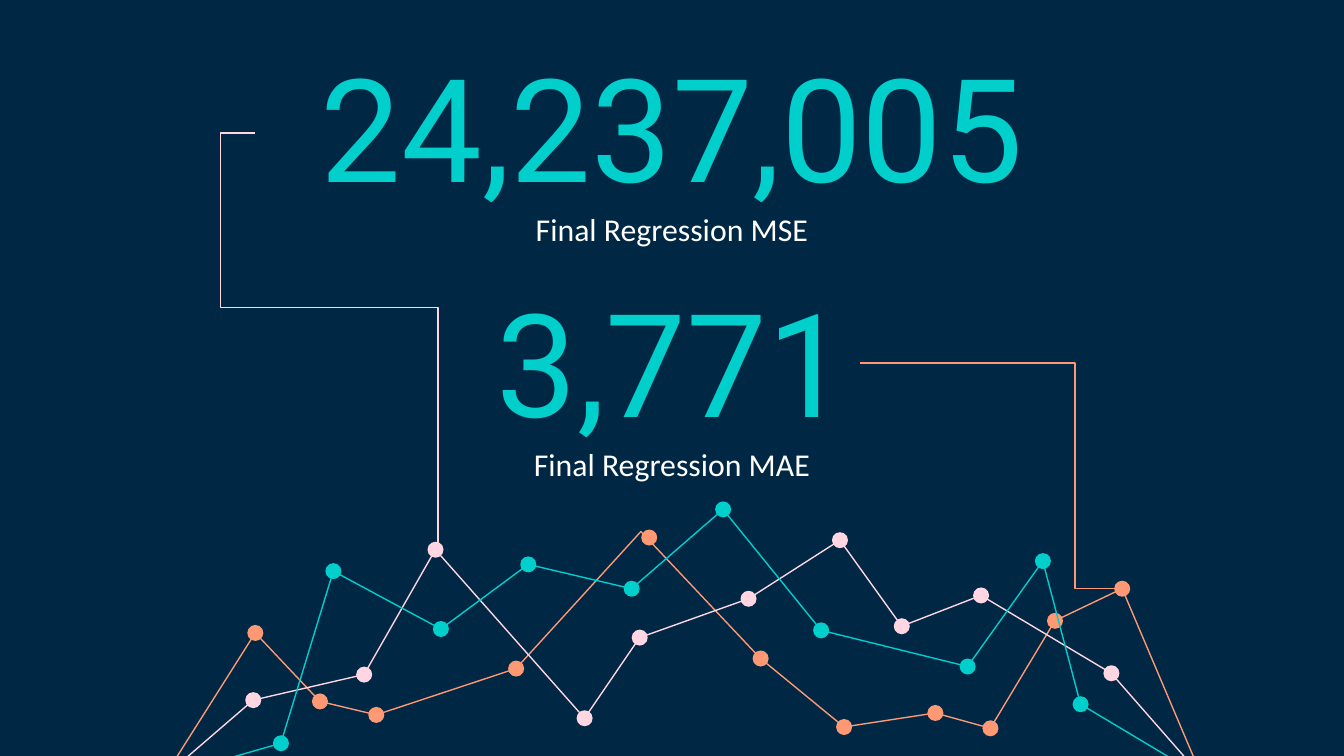
from pptx import Presentation
from pptx.dml.color import RGBColor
from pptx.enum.shapes import MSO_CONNECTOR as Connector, MSO_SHAPE as Shape
from pptx.enum.text import MSO_ANCHOR as Anchor, PP_ALIGN as Align
from pptx.oxml.ns import qn
from pptx.util import Pt
from lxml.etree import SubElement

NAVY, TEAL, ORANGE, PINK, WHITE = "002845", "00CFCC", "FF9973", "FFD6E1", "FFFFFF"

# Dot centres of each series, and where its line leaves the slide
ORANGE_DOTS = [(136.8, 339.1), (171.4, 375.8), (201.6, 383), (276.5, 358.2),
               (347.8, 288), (407.5, 352.8), (452.2, 389.5), (501.1, 382),
               (530.6, 390.2), (565.2, 332.6), (601.2, 315.4)]
PINK_DOTS = [(135.7, 375.1), (195.1, 361.4), (233.3, 294.5), (313.2, 384.8),
             (342.7, 341.6), (401, 320.8), (450, 289.4), (483.1, 335.5),
             (525.6, 319), (595.4, 360.7)]
TEAL_DOTS = [(150.5, 398.2), (178.6, 306), (236.2, 337), (283, 302.4),
             (338.4, 315.4), (387.4, 272.9), (439.9, 337.7), (518.4, 357.1),
             (558.7, 300.6), (578.9, 377.3)]
LINE_START, LINE_END = (88, 416.2), (644, 416.2)
# The orange line peaks a little beside its dot
LINE_SHIFTS = {(347.8, 288): (343.4, 284.8)}

FIGURES = [("24,237,005", "Final Regression MSE"), ("3,771", "Final Regression MAE")]
FIGURE_TOP, FIGURE_STEP = 23, 126


def colour(value):
    return RGBColor.from_string(value)


class Painter:
    line_width = 0.75
    dot_size = 8.6

    def __init__(self, slide):
        self.slide = slide
        self.shapes = slide.shapes

    def background(self, fill):
        self.slide.background.fill.solid()
        self.slide.background.fill.fore_color.rgb = colour(fill)

    def trend(self, points, stroke):
        first, *rest = [(Pt(x), Pt(y)) for x, y in points]
        builder = self.shapes.build_freeform(*first)
        builder.add_line_segments(rest, close=False)
        line = builder.convert_to_shape()
        line.shadow.inherit = False
        line.fill.background()
        line.line.color.rgb = colour(stroke)
        line.line.width = Pt(self.line_width)

    def dot(self, x, y, fill):
        size = self.dot_size
        dot = self.shapes.add_shape(Shape.OVAL, Pt(x - size / 2), Pt(y - size / 2),
                                    Pt(size), Pt(size))
        dot.shadow.inherit = False
        dot.fill.solid()
        dot.fill.fore_color.rgb = colour(fill)
        dot.line.fill.background()

    def elbow(self, start, end, stroke, bends, upright=False):
        """Bent connector; bends are fractions of its run, upright starts vertically."""
        (x1, y1), (x2, y2) = start, end
        if upright:
            # Lay the path on its side about its centre; rot turns it back
            mid_x, mid_y = (x1 + x2) / 2, (y1 + y2) / 2
            half_x, half_y = (x1 - x2) / 2, (y1 - y2) / 2
            x1, y1 = mid_x + half_y, mid_y - half_x
            x2, y2 = mid_x - half_y, mid_y + half_x
        link = self.shapes.add_connector(Connector.ELBOW, Pt(x1), Pt(y1), Pt(x2), Pt(y2))
        link.line.color.rgb = colour(stroke)
        link.line.width = Pt(self.line_width)
        properties = link._element.spPr
        SubElement(properties, qn("a:effectLst"))
        if upright:
            properties.find(qn("a:xfrm")).set("rot", "5400000")
        geometry = properties.find(qn("a:prstGeom"))
        geometry.set("prst", f"bentConnector{len(bends) + 2}")
        guides = geometry.find(qn("a:avLst"))
        for number, bend in enumerate(bends, 1):
            SubElement(guides, qn("a:gd"), name=f"adj{number}",
                       fmla=f"val {round(bend * 100000)}")

    def text(self, words, left, top, width, height, font, size, ink, anchor=Anchor.TOP):
        box = self.shapes.add_textbox(Pt(left), Pt(top), Pt(width), Pt(height))
        frame = box.text_frame
        frame.word_wrap = True
        frame.vertical_anchor = anchor
        frame.margin_left = frame.margin_right = Pt(7.2)
        frame.margin_top = frame.margin_bottom = Pt(7.2)
        frame.text = words
        para = frame.paragraphs[0]
        para.alignment = Align.CENTER
        span = para.runs[0]
        span.font.name = font
        span.font.size = Pt(size)
        span.font.color.rgb = colour(ink)
        return para


def main():
    deck = Presentation()
    deck.slide_width, deck.slide_height = Pt(720), Pt(405)
    page = Painter(deck.slides.add_slide(deck.slide_layouts[6]))
    page.background(NAVY)

    # Decorative trend lines
    for dots, tint in ((ORANGE_DOTS, ORANGE), (PINK_DOTS, PINK), (TEAL_DOTS, TEAL)):
        path_points = [LINE_SHIFTS.get(dot, dot) for dot in dots]
        page.trend([LINE_START, *path_points, LINE_END], tint)
        for x, y in dots:
            page.dot(x, y, tint)

    # Connectors from the peaks to the figures
    page.elbow((234.7, 293.8), (136.8, 71.3), PINK, (0.58, 1.19), upright=True)
    page.elbow((601.2, 315.4), (460.8, 194.4), ORANGE, (0.18,))

    # Key figures with their labels
    for row, (figure, label) in enumerate(FIGURES):
        top = FIGURE_TOP + row * FIGURE_STEP
        page.text(figure, 136.8, top, 447, 97.2, "Roboto", 77, TEAL, Anchor.BOTTOM)
        caption = page.text(label, 252.7, top + 79.2, 214.6, 56.2, "Calibri", 17, WHITE)
        caption.line_spacing = 1.15
        caption.space_after = Pt(16)

    deck.save("out.pptx")


if __name__ == "__main__":
    main()
